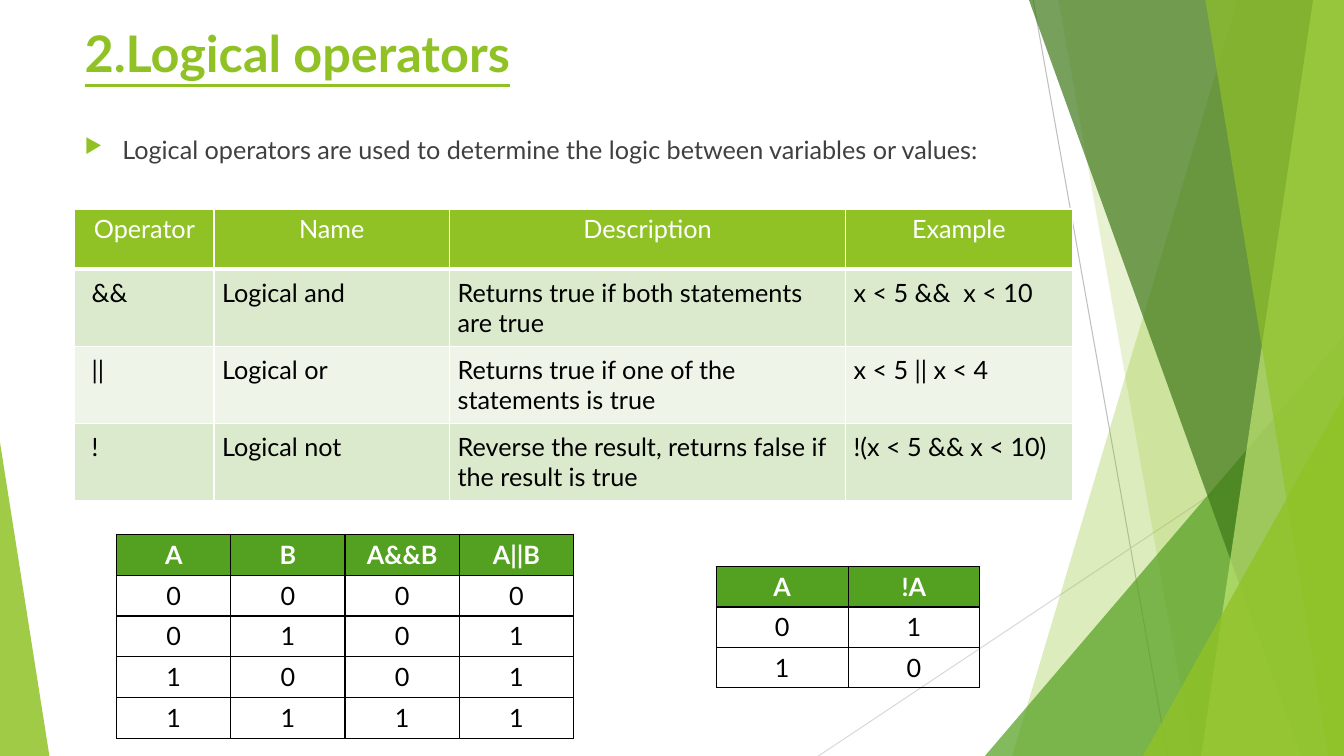
"""Build the slide on logical operators with its truth tables."""
from lxml.etree import SubElement
from pptx import Presentation
from pptx.dml.color import RGBColor
from pptx.enum.shapes import MSO_CONNECTOR as Connector, MSO_SHAPE as Shape
from pptx.enum.text import MSO_ANCHOR as Anchor, PP_ALIGN as Align
from pptx.oxml.ns import qn
from pptx.util import Pt

WIDTH, HEIGHT = 960, 540
LIME, GREEN, FOREST, PALE = "90C226", "54A021", "3F7819", "C0E474"
WHITE, BLACK, GRAY = "FFFFFF", "000000", "404040"


def color(value):
    return RGBColor.from_string(value)


class SlideBuilder:
    font_name = "Lato"

    def __init__(self, slide):
        self.slide = slide
        self.shapes = slide.shapes

    def line(self, start, end, line_color):
        line = self.shapes.add_connector(Connector.STRAIGHT, *map(Pt, start + end))
        line.line.color.rgb = color(line_color)
        line.line.width = Pt(0.75)
        SubElement(line._element.spPr, qn("a:effectLst"))

    def paint(self, shape, fill_color, opacity):
        shape.shadow.inherit = False
        shape.line.fill.background()
        shape.fill.solid()
        shape.fill.fore_color.rgb = color(fill_color)
        solid = shape._element.spPr.find(qn("a:solidFill"))
        SubElement(solid[0], qn("a:alpha"), val=str(opacity * 1000))

    def band(self, top_x, bottom_x, fill_color, opacity):
        outline = self.shapes.build_freeform(Pt(top_x), Pt(0), scale=1.0)
        corners = [(WIDTH, 0), (WIDTH, HEIGHT), (bottom_x, HEIGHT)]
        outline.add_line_segments([(Pt(x), Pt(y)) for x, y in corners], close=True)
        self.paint(outline.convert_to_shape(), fill_color, opacity)

    def triangle(self, left, top, width, apex, fill_color, opacity):
        box = map(Pt, (left, top, width, HEIGHT - top))
        shape = self.shapes.add_shape(Shape.ISOSCELES_TRIANGLE, *box)
        shape.adjustments[0] = apex
        self.paint(shape, fill_color, opacity)

    def style(self, paragraph, size, text_color, bold=False):
        font = paragraph.font
        font.name, font.size, font.bold = self.font_name, Pt(size), bold
        font.color.rgb = color(text_color)

    def text(self, box, text):
        frame = self.shapes.add_textbox(*map(Pt, box)).text_frame
        frame.word_wrap = True
        frame.vertical_anchor = Anchor.TOP
        paragraph = frame.paragraphs[0]
        paragraph.text = text
        return paragraph

    def title(self, box, text):
        paragraph = self.text(box, text)
        self.style(paragraph, 36, LIME, bold=True)
        paragraph.font.underline = True

    def bullet(self, box, text):
        paragraph = self.text(box, text)
        paragraph.space_before = Pt(10)
        properties = paragraph._p.get_or_add_pPr()
        properties.set("marL", str(Pt(27)))
        properties.set("indent", str(Pt(-27)))
        bullet_color = SubElement(properties, qn("a:buClr"))
        SubElement(bullet_color, qn("a:srgbClr"), val=LIME)
        SubElement(properties, qn("a:buSzPct"), val="80000")
        SubElement(properties, qn("a:buChar"), char="▶")
        self.style(paragraph, 18, GRAY)

    def borders(self, cell, line_color, top=1, bottom=1):
        properties = cell._tc.get_or_add_tcPr()
        for side, width in zip("LRTB", (1, 1, top, bottom)):
            border = SubElement(properties, qn(f"a:ln{side}"), w=str(Pt(width)))
            solid = SubElement(border, qn("a:solidFill"))
            SubElement(solid, qn("a:srgbClr"), val=line_color)

    def cell(self, cell, text, text_color, fill_color, bold=False, centered=True):
        cell.text = text
        paragraph = cell.text_frame.paragraphs[0]
        paragraph.alignment = Align.CENTER if centered else Align.LEFT
        self.style(paragraph, 18, text_color, bold)
        if fill_color:
            cell.fill.solid()
            cell.fill.fore_color.rgb = color(fill_color)
        else:
            cell.fill.background()

    def table(self, left, top, widths, heights):
        box = map(Pt, (left, top, sum(widths), sum(heights)))
        table = self.shapes.add_table(len(heights), len(widths), *box).table
        table.first_row = table.horz_banding = False
        for column, width in zip(table.columns, widths):
            column.width = Pt(width)
        for row, height in zip(table.rows, heights):
            row.height = Pt(height)
        return table

    def operator_table(self, left, top, widths, heights, rows):
        table = self.table(left, top, widths, heights)
        for r, texts in enumerate(rows):
            for c, text in enumerate(texts):
                cell = table.cell(r, c)
                self.borders(cell, WHITE, 3 if r == 1 else 1, 3 if r == 0 else 1)
                if r == 0:
                    self.cell(cell, text, WHITE, LIME)
                    continue
                cell.margin_left = Pt(5.75 if c else 12)
                cell.margin_right = cell.margin_top = cell.margin_bottom = Pt(5.75)
                fill_color = "DBE9CD" if r % 2 else "EEF4E8"
                self.cell(cell, text, BLACK, fill_color, centered=False)

    def truth_table(self, left, top, column_width, row_height, rows):
        widths, heights = [column_width] * len(rows[0]), [row_height] * len(rows)
        table = self.table(left, top, widths, heights)
        for r, texts in enumerate(rows):
            for c, text in enumerate(texts):
                cell = table.cell(r, c)
                self.borders(cell, BLACK)
                if r == 0:
                    self.cell(cell, text, WHITE, GREEN, bold=True)
                else:
                    self.cell(cell, text, BLACK, None)


def main():
    presentation = Presentation()
    presentation.slide_width, presentation.slide_height = Pt(WIDTH), Pt(HEIGHT)
    slide = presentation.slides.add_slide(presentation.slide_layouts[6])
    builder = SlideBuilder(slide)

    builder.line((738, 0), (834, HEIGHT), "BFBFBF")
    builder.line((WIDTH, 290), (584.6, HEIGHT), "D9D9D9")
    builder.band(884, 723, LIME, 30)
    builder.band(756, 852, LIME, 20)
    builder.triangle(703.5, 240, 256.5, 1, GREEN, 72)
    builder.band(735, 929.5, FOREST, 70)
    builder.band(938, 858, PALE, 70)
    builder.band(861, 949, LIME, 65)
    builder.triangle(816.5, 283, 143.5, 1, LIME, 80)
    builder.triangle(0, 316, 35.3, 0, LIME, 85)

    builder.title((53.3, 12.2, 677, 104), "2.Logical operators")
    builder.bullet(
        (53.3, 92.2, 677, 57),
        "Logical operators are used to determine the logic between variables or values:",
    )
    builder.operator_table(53.5, 149.3, (99.4, 168.3, 282.8, 162), (43, 55, 55, 55), [
        ("Operator", "Name", "Description", "Example"),
        ("&&", "Logical and", "Returns true if both statements are true", "x < 5 &&  x < 10"),
        ("||", "Logical or", "Returns true if one of the statements is true", "x < 5 || x < 4"),
        ("!", "Logical not", "Reverse the result, returns false if the result is true",
         "!(x < 5 && x < 10)"),
    ])
    bits = (0, 1)
    pairs = [(str(a), str(b), str(a & b), str(a | b)) for a in bits for b in bits]
    builder.truth_table(83.3, 381.6, 81.6, 29.2, [("A", "B", "A&&B", "A||B")] + pairs)
    negations = [(str(a), str(1 - a)) for a in bits]
    builder.truth_table(511.7, 404.8, 94.1, 28.8, [("A", "!A")] + negations)

    presentation.save("out.pptx")


if __name__ == "__main__":
    main()
